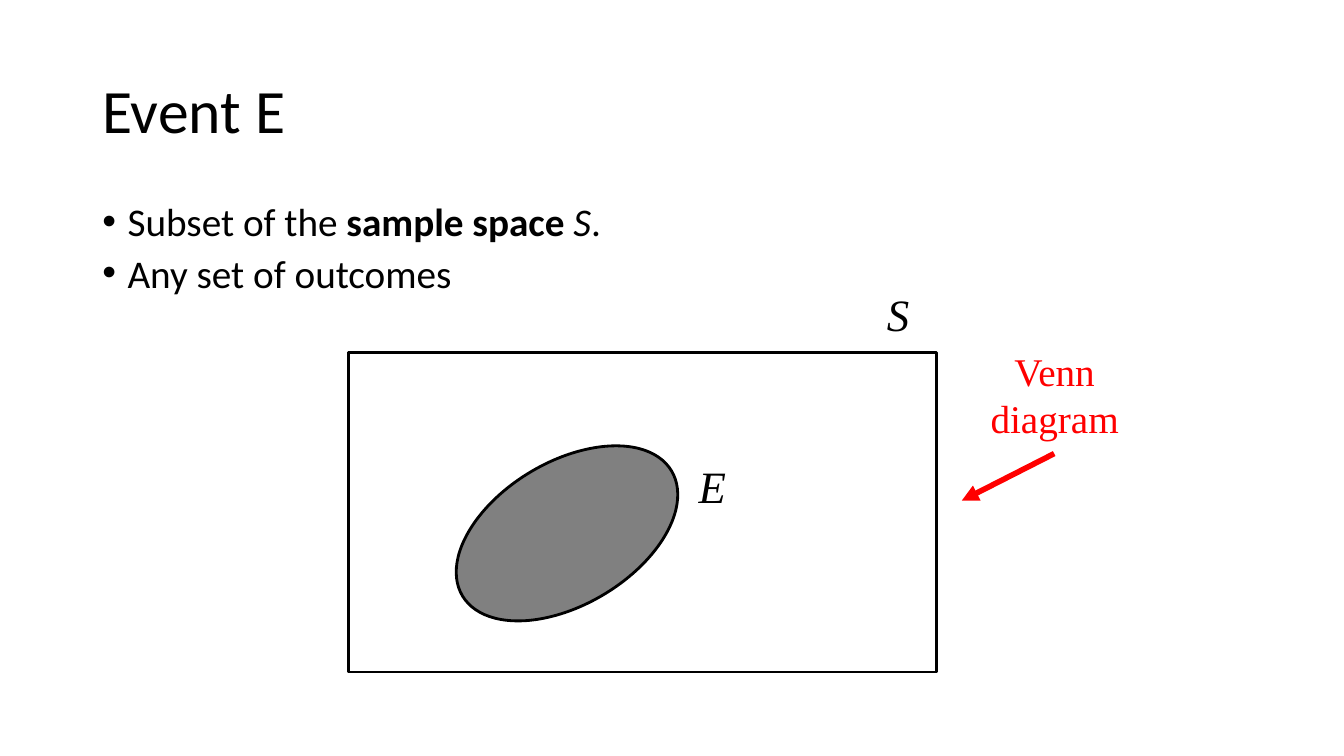
from pptx import Presentation
from pptx import util as u
from pptx.dml.color import RGBColor
from pptx.enum import shapes, text
from pptx.oxml.ns import qn
from lxml import etree

COLORS = {"ink": "000000", "event": "808080", "note": "FF0000"}
SANS, SERIF = "Calibri", "Times New Roman"
COLUMNS, ROWS = 160, 90


class VennSlide:
    def __init__(self, presentation):
        self.slide = presentation.slides.add_slide(presentation.slide_layouts[6])
        self.column = presentation.slide_width / COLUMNS
        self.row = presentation.slide_height / ROWS

    def place(self, left, top, width, height):
        return (round(left * self.column), round(top * self.row),
                round(width * self.column), round(height * self.row))

    def color(self, name):
        return RGBColor.from_string(COLORS[name])

    def add_text(self, box, paragraphs, size, font=SANS, color="ink", italic=None,
                 anchor=text.MSO_ANCHOR.TOP, align=text.PP_ALIGN.LEFT,
                 line_spacing=1.0, before=0, bullet=False):
        frame = self.slide.shapes.add_textbox(*self.place(*box)).text_frame
        frame.word_wrap = True
        frame.vertical_anchor = anchor
        for index, runs in enumerate(paragraphs):
            paragraph = frame.add_paragraph() if index else frame.paragraphs[0]
            paragraph.alignment = align
            paragraph.line_spacing = line_spacing
            paragraph.space_before = u.Pt(before)
            paragraph.font.name = font
            paragraph.font.size = u.Pt(size)
            paragraph.font.italic = italic
            paragraph.font.color.rgb = self.color(color)
            if bullet:
                self.add_bullet(paragraph)
            for words, emphasis in runs:
                run = paragraph.add_run()
                run.text = words
                run.font.bold = True if emphasis == "bold" else None
                run.font.italic = True if emphasis == "italic" else None

    def add_bullet(self, paragraph):
        properties = paragraph._p.get_or_add_pPr()
        indent = u.Inches(0.25)
        properties.set("marL", str(indent))
        properties.set("indent", str(-indent))
        defaults = properties.find(qn("a:defRPr"))
        defaults.addprevious(etree.Element(qn("a:buFont"), typeface="Arial"))
        defaults.addprevious(etree.Element(qn("a:buChar"), char="•"))

    def add_outline(self, kind, box, fill=None, rotation=0):
        shape = self.slide.shapes.add_shape(kind, *self.place(*box))
        shape.shadow.inherit = False
        shape.rotation = rotation
        if fill:
            shape.fill.solid()
            shape.fill.fore_color.rgb = self.color(fill)
        else:
            shape.fill.background()
        shape.line.color.rgb = self.color("ink")
        shape.line.width = u.Pt(2)

    def add_arrow(self, start, end, color):
        connector = self.slide.shapes.add_connector(
            shapes.MSO_CONNECTOR.STRAIGHT, *self.place(*start, *end))
        connector.line.color.rgb = self.color(color)
        connector.line.width = u.Pt(4)
        properties = connector._element.spPr
        etree.SubElement(properties.find(qn("a:ln")), qn("a:tailEnd"), type="triangle")
        etree.SubElement(properties, qn("a:effectLst"))


def main():
    presentation = Presentation()
    presentation.slide_width = u.Inches(13.33)
    presentation.slide_height = u.Inches(7.5)
    venn = VennSlide(presentation)

    venn.add_text((11, 4.8, 138, 17.4), [[("Event E", None)]], 44,
                  anchor=text.MSO_ANCHOR.MIDDLE, line_spacing=0.9)
    venn.add_text((11, 24, 138, 12.8),
                  [[("Subset of the ", None), ("sample space ", "bold"),
                    ("S", "italic"), (".", None)],
                   [("Any set of outcomes", None)]],
                  28, line_spacing=0.8, before=10, bullet=True)

    venn.add_outline(shapes.MSO_SHAPE.RECTANGLE, (41.5, 42, 70, 38))
    venn.add_outline(shapes.MSO_SHAPE.OVAL, (53, 55, 29, 17), "event", 329.1)
    for label, box in (("S", (104.4, 33.6, 10, 7)), ("E", (82, 54, 11, 7))):
        venn.add_text(box, [[(label, None)]], 32, SERIF, italic=True, before=6.4)

    venn.add_text((115.7, 40.7, 19.7, 12.4), [[("Venn diagram", None)]], 28, SERIF,
                  "note", align=text.PP_ALIGN.CENTER, before=14)
    venn.add_arrow((125.5, 54), (114.5, 59.6), "note")
    presentation.save("out.pptx")


if __name__ == "__main__":
    main()
